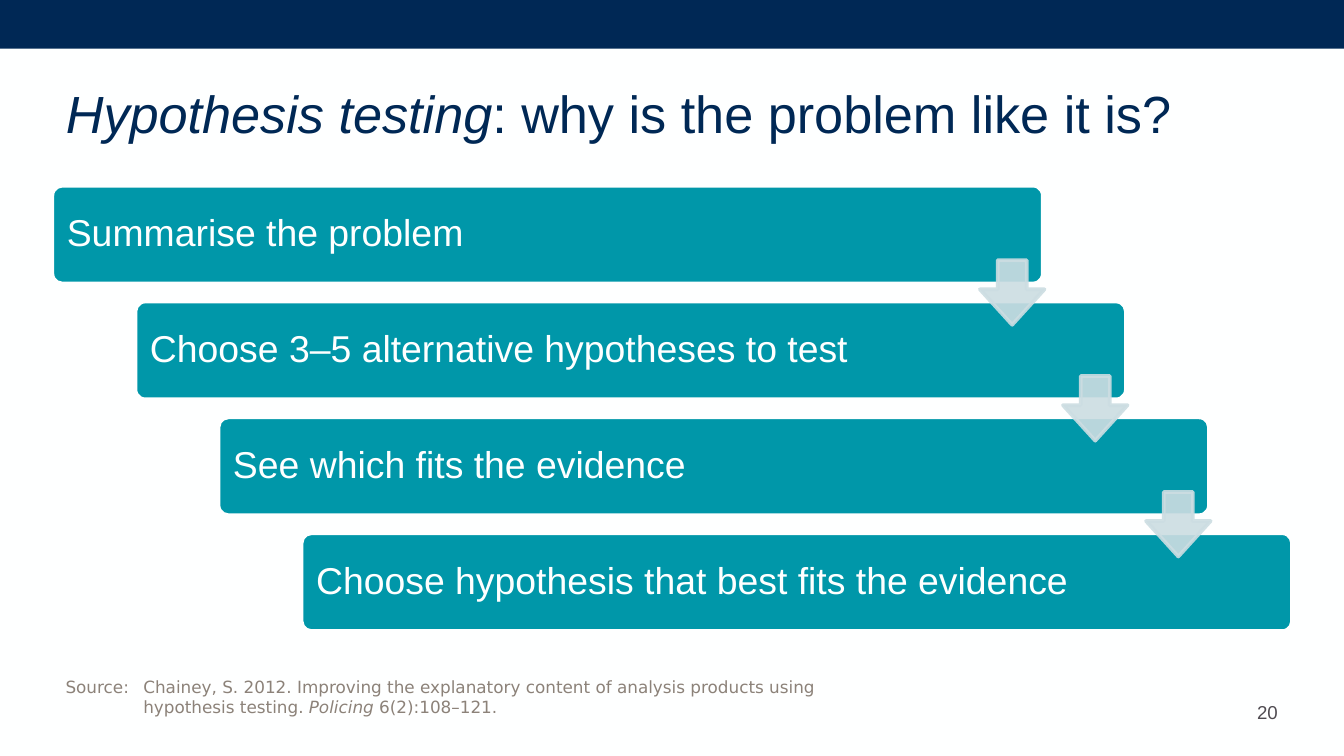
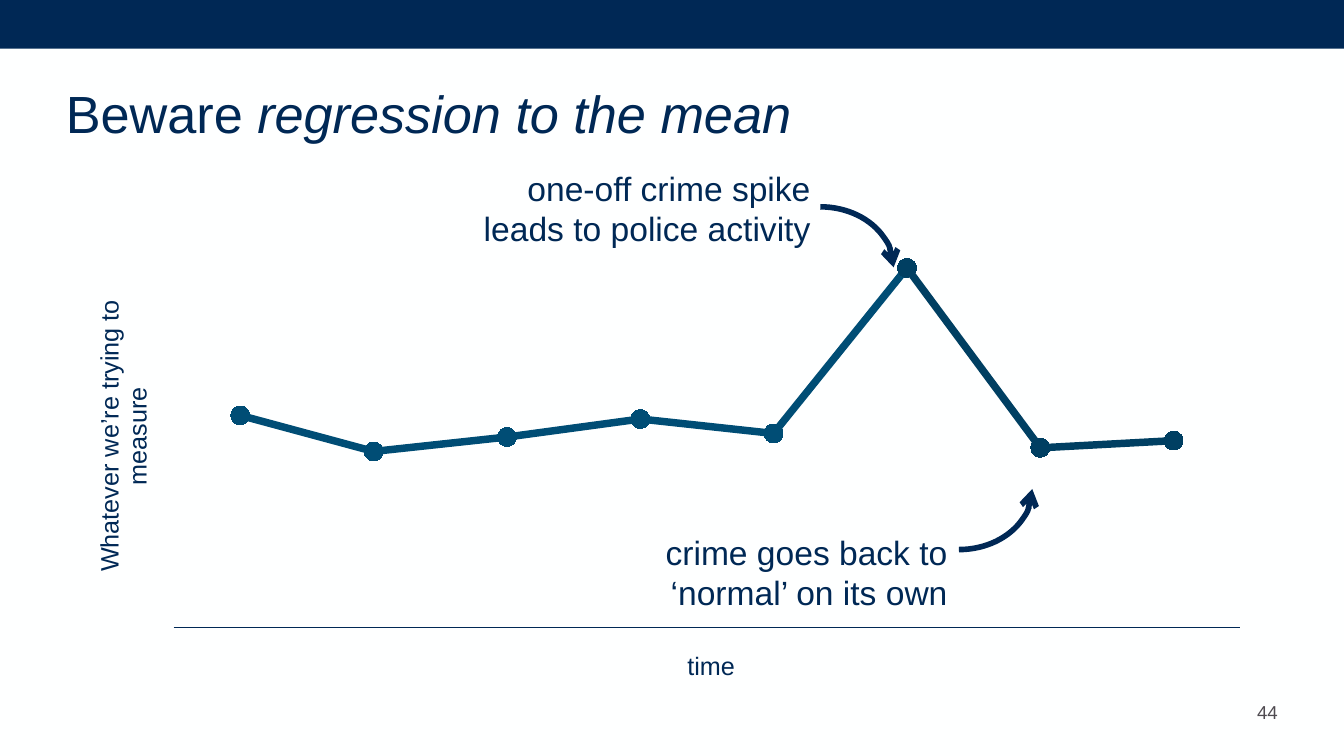
from lxml import etree
from pptx import Presentation
from pptx.chart import data as chart_data
from pptx.dml.color import RGBColor
from pptx.enum import chart as ch, shapes, text as tx
from pptx.oxml import ns
from pptx.util import Cm, Pt

COLOURS = {
    "navy": "002855",
    "teal": "0097A9",
    "pale": "CCDDE2",
    "white": "FEFFFF",
    "grey": "4F4B51",
    "stone": "8C8279",
    "blue": "004D75",
    "deep": "003F62",
}
FONT = "Arial"
LEFT = 0.99

STEPS_TITLE = [("Hypothesis testing", True), (": why is the problem like it is?", False)]
STEPS = [
    "Summarise the problem",
    "Choose 3–5 alternative hypotheses to test",
    "See which fits the evidence",
    "Choose hypothesis that best fits the evidence",
]
CITATION = [
    ("Source:\tChainey, S. 2012. Improving the explanatory content of analysis "
     "products using hypothesis testing. ", False),
    ("Policing", True),
    (" 6(2):108–121.", False),
]

MEAN_TITLE = [("Beware ", False), ("regression to the mean", True)]
PERIODS = [str(n) for n in range(1, 9)]
SERIES = [
    ("Series 1", 0, [59, 49, 53, 58, 54], "blue"),
    ("Series 2", 4, [54, 100], "blue"),
    ("Series 3", 5, [100, 50, 52], "deep"),
]
TIME_TITLE = "time"
MEASURE_TITLE = "Whatever we’re trying to measure"
NOTES = [
    ("one-off crime spike leads to police activity",
     (8.71, 3.05, 6.86, 1.8), (14.12, 3.91), False),
    ("crime goes back to\v‘normal’ on its own",
     (12.09, 9.93, 6.07, 1.8), (16.74, 8.1), True),
]


def rgb(name):
    return RGBColor.from_string(COLOURS[name])


def write(frame, runs, size=18, colour="navy", font=FONT, align="LEFT",
          anchor="TOP", spacing=None, hanging=None, insets=None):
    frame.word_wrap = True
    frame.auto_size = tx.MSO_AUTO_SIZE.NONE
    frame.vertical_anchor = tx.MSO_ANCHOR[anchor]
    if insets:
        (frame.margin_left, frame.margin_top,
         frame.margin_right, frame.margin_bottom) = map(Cm, insets)
    paragraph = frame.paragraphs[0]
    paragraph.alignment = tx.PP_ALIGN[align]
    if spacing:
        paragraph.line_spacing = spacing
    if hanging:
        properties = paragraph._p.get_or_add_pPr()
        properties.set("marL", str(Cm(hanging)))
        properties.set("indent", str(-Cm(hanging)))
    for words, italic in [(runs, False)] if isinstance(runs, str) else runs:
        for number, line in enumerate(words.split("\v")):
            if number:
                paragraph.add_line_break()
            run = paragraph.add_run()
            run.text = line
            run.font.name, run.font.size = font, Pt(size)
            run.font.italic = italic
            run.font.color.rgb = rgb(colour)


def add_text(slide, box, runs, **style):
    write(slide.shapes.add_textbox(*map(Cm, box)).text_frame, runs, **style)


def add_figure(slide, preset, box, fill=None, line=None, width=2, adjust=()):
    figure = slide.shapes.add_shape(shapes.MSO_SHAPE[preset], *map(Cm, box))
    figure.shadow.inherit = False
    for index, value in enumerate(adjust):
        figure.adjustments[index] = value
    if fill:
        figure.fill.solid()
        figure.fill.fore_color.rgb = rgb(fill)
    else:
        figure.fill.background()
    if line:
        figure.line.color.rgb = rgb(line)
        figure.line.width = Pt(width)
    else:
        figure.line.fill.background()
    return figure


def set_opacity(figure, percent):
    for colour in figure._element.spPr.iter(ns.qn("a:srgbClr")):
        etree.SubElement(colour, ns.qn("a:alpha")).set("val", str(percent * 1000))


def add_page(deck, title, number):
    slide = deck.slides.add_slide(deck.slide_layouts[5])
    slide.background.fill.solid()
    slide.background.fill.fore_color.rgb = rgb("white")
    add_figure(slide, "RECTANGLE", (0, 0, 25.4, 0.92), fill="navy")
    heading = slide.shapes.title
    heading.left, heading.top, heading.width, heading.height = map(
        Cm, (LEFT, 0.99, 23.4, 2.5))
    write(heading.text_frame, title, size=28, anchor="MIDDLE", spacing=Pt(27))
    add_text(slide, (22.4, 12.67, 2, 1.12), number, size=10, colour="grey",
             align="RIGHT", anchor="BOTTOM")
    return slide


def place(element, index, **position):
    layout = element.find(ns.qn("c:layout"))
    if layout is None:
        layout = etree.Element(ns.qn("c:layout"))
        element.insert(index, layout)
    manual = etree.SubElement(layout, ns.qn("c:manualLayout"))
    if "w" in position:
        etree.SubElement(manual, ns.qn("c:layoutTarget")).set("val", "inner")
    for side in "xy":
        etree.SubElement(manual, ns.qn(f"c:{side}Mode")).set("val", "edge")
    for key, value in position.items():
        etree.SubElement(manual, ns.qn(f"c:{key}")).set("val", str(value))


def title_axis(axis, words, x, y):
    frame = axis.axis_title.text_frame
    run = frame.paragraphs[0].add_run()
    run.text = words
    run.font.name, run.font.size, run.font.bold = FONT, Pt(13.5), False
    run.font.color.rgb = rgb("navy")
    place(axis.axis_title._element, 1, x=x, y=y)
    return frame


def add_trend(slide):
    content = chart_data.CategoryChartData()
    content.categories = PERIODS
    for name, start, values, _ in SERIES:
        after = len(PERIODS) - start - len(values)
        content.add_series(name, [None] * start + values + [None] * after)
    trend = slide.shapes.add_chart(
        ch.XL_CHART_TYPE.LINE_MARKERS, *map(Cm, (LEFT, 4.34, 22.91, 8.94)), content).chart
    trend.has_legend = trend.has_title = False
    trend.font.name, trend.font.size = FONT, Pt(10)
    trend.font.color.rgb = rgb("navy")
    trend.plots[0].vary_by_categories = False
    for series, (_, _, _, colour) in zip(trend.plots[0].series, SERIES):
        series.smooth = False
        series.format.line.color.rgb = rgb(colour)
        series.format.line.width = Pt(4)
        marker = series.marker
        marker.style, marker.size = ch.XL_MARKER_STYLE.CIRCLE, 10
        marker.format.fill.solid()
        marker.format.fill.fore_color.rgb = rgb(colour)
        marker.format.line.color.rgb = rgb(colour)
    time, measure = trend.category_axis, trend.value_axis
    time.tick_label_position = ch.XL_TICK_LABEL_POSITION.NONE
    time.major_tick_mark = time.minor_tick_mark = ch.XL_TICK_MARK.NONE
    time.format.line.color.rgb = rgb("navy")
    time.format.line.width = Pt(0.75)
    measure.minimum_scale, measure.maximum_scale = 0, 110
    measure.has_major_gridlines = False
    measure.visible = False
    title_axis(time, TIME_TITLE, 0.52, 0.88)
    upright = title_axis(measure, MEASURE_TITLE, 0.03, 0.14)
    upright._txBody.bodyPr.set("rot", "-5400000")
    upright._txBody.bodyPr.set("vert", "horz")
    plot_area = trend._chartSpace.find(".//" + ns.qn("c:plotArea"))
    place(plot_area, 0, x=0.1, y=0.005, w=0.88, h=0.837)


def add_curved_arrow(slide, corner, flipped):
    arc = add_figure(slide, "ARC", (*corner, 2.77, 2.29), line="navy", width=3)
    if flipped:
        arc._element.spPr.find(ns.qn("a:xfrm")).set("flipV", "1")
    etree.SubElement(arc.line._get_or_add_ln(), ns.qn("a:tailEnd")).set("type", "arrow")


def build_steps(deck):
    slide = add_page(deck, STEPS_TITLE, "20")
    corners = [(LEFT + 1.57 * i, 3.51 + 2.19 * i) for i in range(len(STEPS))]
    for (left, top), step in zip(corners, STEPS):
        bar = add_figure(slide, "ROUNDED_RECTANGLE", (left, top, 18.72, 1.85),
                         fill="teal", line="white", adjust=(0.1,))
        write(bar.text_frame, step, size=20, colour="white", anchor="MIDDLE",
              spacing=0.9, insets=(0.22, 0.2, 2, 0.2))
    for left, top in corners[:-1]:
        arrow = add_figure(slide, "DOWN_ARROW", (left + 17.53, top + 1.41, 1.22, 1.22),
                           fill="pale", line="pale", adjust=(0.45, 0.55))
        set_opacity(arrow, 90)
    add_text(slide, (LEFT, 12.67, 15.44, 1.19), CITATION, size=9, colour="stone",
             font="DejaVu Sans", hanging=1.47)


def build_mean(deck):
    slide = add_page(deck, MEAN_TITLE, "44")
    add_trend(slide)
    for words, box, corner, flipped in NOTES:
        add_text(slide, box, words, align="RIGHT")
        add_curved_arrow(slide, corner, flipped)


def main():
    deck = Presentation()
    deck.slide_width, deck.slide_height = Cm(25.4), Cm(14.29)
    build_steps(deck)
    build_mean(deck)
    deck.save("out.pptx")


if __name__ == "__main__":
    main()
